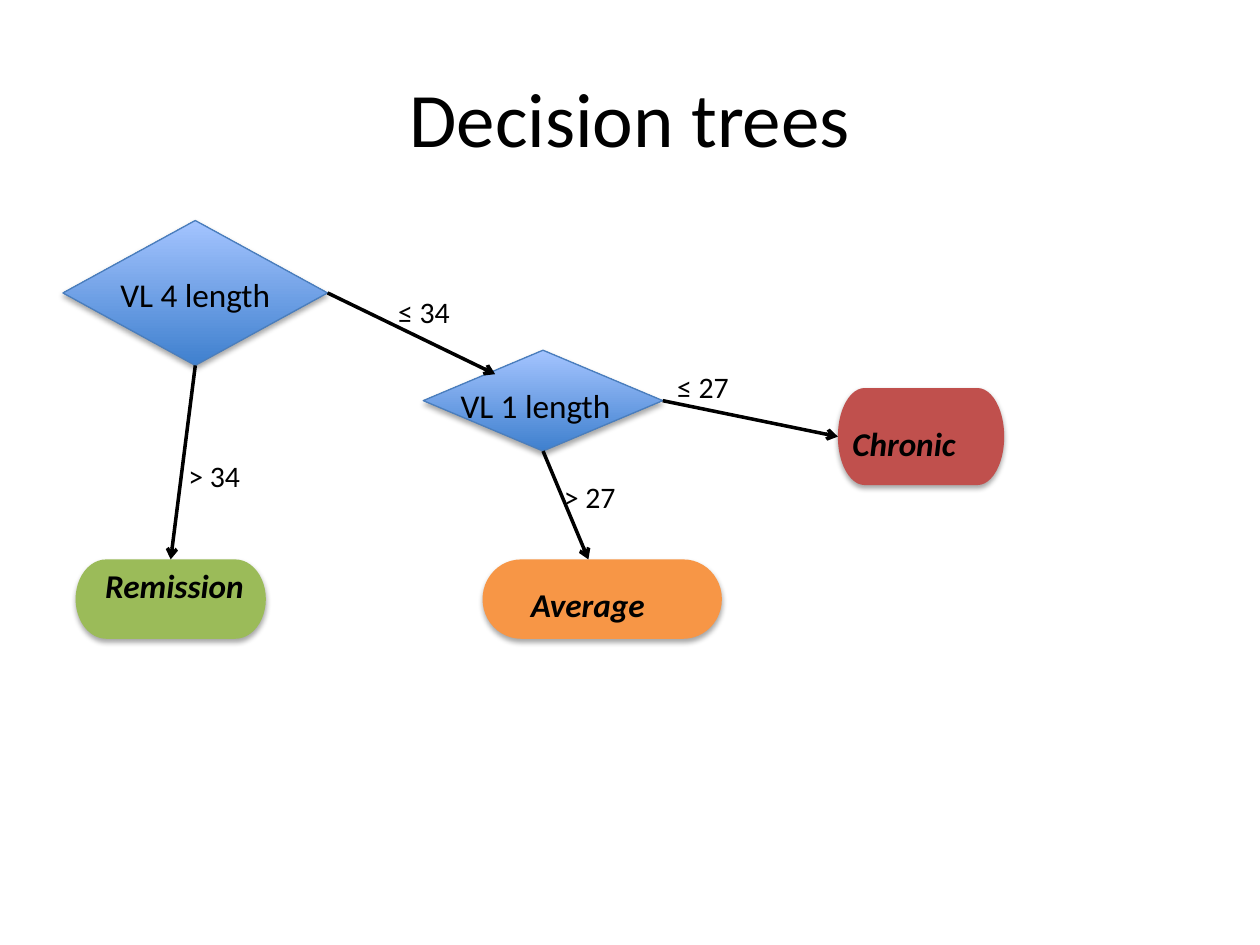
from lxml.etree import SubElement
from pptx import Presentation
from pptx.dml.color import RGBColor
from pptx.enum.shapes import MSO_CONNECTOR as Connector, MSO_SHAPE as Preset
from pptx.enum.text import MSO_ANCHOR as Anchor, MSO_AUTO_SIZE as AutoSize, PP_ALIGN as Align
from pptx.oxml.ns import qn
from pptx.util import Inches, Pt

COLORS = {
    "text": "000000",
    "diamond_low": "3F80CE",
    "diamond_high": "A4C4FF",
    "diamond_edge": "4B7EBC",
    "average": "F79646",
    "chronic": "C0504D",
    "remission": "9BBB59",
}
COLUMNS, ROWS = 100, 75
CELL = Inches(10) // COLUMNS
TOP, LEFT, BOTTOM, RIGHT = range(4)


def color(name):
    return RGBColor.from_string(COLORS[name])


def grid(*cells):
    return [round(cell * CELL) for cell in cells]


def format_text(shape, text, size, emphasis=False):
    frame = shape.text_frame
    frame.text = text
    frame.word_wrap = True
    paragraph = frame.paragraphs[0]
    paragraph.alignment = Align.CENTER
    font = paragraph.runs[0].font
    font.name = "Calibri"
    font.size = Pt(size)
    font.bold = font.italic = emphasis
    font.color.rgb = color("text")


def add_title(slide, box, text):
    title = slide.shapes.title
    title.left, title.top, title.width, title.height = grid(*box)
    format_text(title, text, 44)
    title.text_frame.vertical_anchor = Anchor.MIDDLE


def add_label(slide, box, text, size, emphasis=False):
    label = slide.shapes.add_textbox(*grid(*box))
    format_text(label, text, size, emphasis)
    label.text_frame.auto_size = AutoSize.SHAPE_TO_FIT_TEXT


def add_shadow(shape):
    shape.shadow.inherit = False
    effects = shape._element.spPr.find(qn("a:effectLst"))
    shadow = SubElement(effects, qn("a:outerShdw"), blurRad=str(Pt(3.1)),
                        dist=str(Pt(1.8)), dir="5400000", rotWithShape="0")
    tone = SubElement(shadow, qn("a:srgbClr"), val=COLORS["text"])
    SubElement(tone, qn("a:alpha"), val="35000")


def add_node(slide, box, preset, text, text_box):
    node = slide.shapes.add_shape(preset, *grid(*box))
    add_shadow(node)
    left, top = box[:2]
    shift_x, shift_y, width = text_box
    is_outcome = preset == Preset.FLOWCHART_TERMINATOR
    add_label(slide, (left + shift_x, top + shift_y, width, 4.2), text, 19, is_outcome)
    return node


def add_decision(slide, box, text, text_box):
    node = add_node(slide, box, Preset.FLOWCHART_DECISION, text, text_box)
    node.fill.gradient()
    node.fill.gradient_angle = 90
    for stop, name in zip(node.fill.gradient_stops, ("diamond_low", "diamond_high")):
        stop.color.rgb = color(name)
    node.line.color.rgb = color("diamond_edge")
    node.line.width = Pt(0.75)
    return node


def add_outcome(slide, box, text, text_box):
    node = add_node(slide, box, Preset.FLOWCHART_TERMINATOR, text, text_box)
    node.fill.solid()
    node.fill.fore_color.rgb = color(text.lower())
    node.line.fill.background()
    return node


def add_branch(slide, source, side, end, condition, label_box, target=None, target_side=TOP):
    branch = slide.shapes.add_connector(Connector.STRAIGHT, 0, 0, *grid(*end))
    branch.begin_connect(source, side)
    if target is not None:
        branch.end_connect(target, target_side)
    branch.line.color.rgb = color("text")
    branch.line.width = Pt(2)
    SubElement(branch.line._get_or_add_ln(), qn("a:tailEnd"), type="arrow")
    SubElement(branch._element.spPr, qn("a:effectLst"))
    add_label(slide, label_box, condition, 17)


def add_tree(slide, box):
    left, top, width, height = box
    bottom = top + height

    root = add_decision(slide, (left, top, 21, 11.5), "VL 4 length", (-2.3, 3.8, 25.6))
    child = add_decision(slide, (left + 28.6, top + 10.3, 19, 8), "VL 1 length", (-3.9, 2.3, 25.6))
    average = (left + 33.3, bottom - 6.3, 19, 6.3)
    add_outcome(slide, average, "Average", (-2.2, 1.5, 21.1))
    chronic = add_outcome(slide, (left + width - 13.2, top + 13.3, 13.2, 7.7), "Chronic",
                          (-2.6, 2.3, 15.7))
    remission = add_outcome(slide, (left + 1, bottom - 6.3, 15.1, 6.3), "Remission",
                            (-0.2, 0, 16.1))

    add_branch(slide, root, RIGHT, (left + 34.3, top + 12.2), "≤ 34",
               (left + 23.3, top + 5.3, 10.7, 3.9))
    add_branch(slide, root, BOTTOM, (left, bottom), "> 34",
               (left + 6.9, top + 18.3, 10.2, 3.9), remission, TOP)
    add_branch(slide, child, RIGHT, (left, bottom), "≤ 27",
               (left + 45.3, top + 11.3, 11, 3.9), chronic, LEFT)
    add_branch(slide, child, BOTTOM, (left + 41.7, average[1]), "> 27",
               (left + 34.4, top + 20, 14.8, 3.9))


def main():
    presentation = Presentation()
    presentation.slide_width, presentation.slide_height = grid(COLUMNS, ROWS)
    slide = presentation.slides.add_slide(presentation.slide_layouts[5])
    add_title(slide, (5, 3, 90, 12.5), "Decision trees")
    add_tree(slide, (5, 17.5, 74.7, 33.2))
    presentation.save("out.pptx")


if __name__ == "__main__":
    main()
